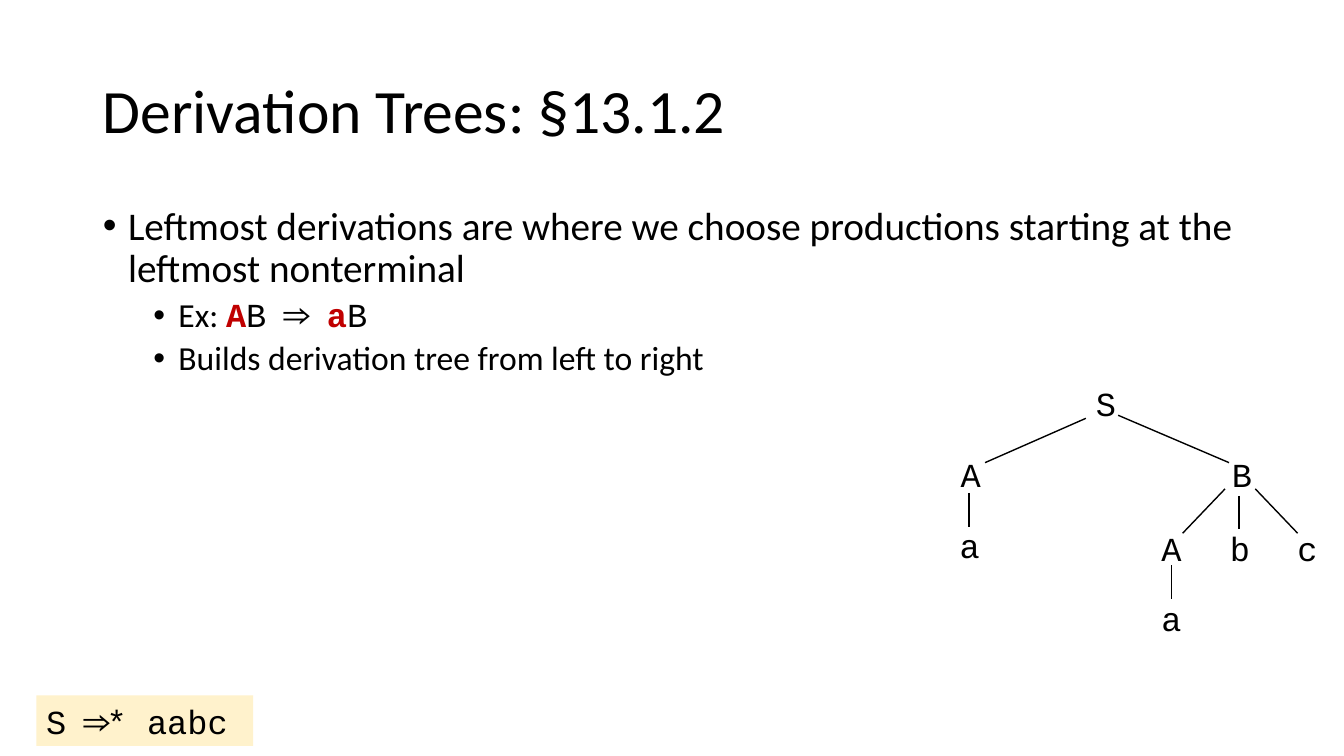
"""Build a slide on leftmost derivations with a derivation tree."""
from lxml import etree
from pptx import Presentation
from pptx.dml.color import RGBColor
from pptx.enum.shapes import MSO_CONNECTOR, MSO_SHAPE
from pptx.enum.text import MSO_ANCHOR, MSO_AUTO_SIZE, PP_ALIGN
from pptx.oxml.ns import qn
from pptx.util import Inches, Pt

LEFT = PP_ALIGN.LEFT
MIDDLE, TOP = MSO_ANCHOR.MIDDLE, MSO_ANCHOR.TOP
FIT_SHAPE, NO_FIT = MSO_AUTO_SIZE.SHAPE_TO_FIT_TEXT, MSO_AUTO_SIZE.NONE
STRAIGHT = MSO_CONNECTOR.STRAIGHT
RECTANGLE = MSO_SHAPE.RECTANGLE
SANS, MONO = "Calibri", "Courier New"
BLACK, RED, CREAM = "000000", "C00000", "FFF2CC"


def rgb(color):
    return RGBColor.from_string(color)


def write(paragraph, text, size=24, font=MONO, color=BLACK, bold=False):
    run = paragraph.add_run()
    run.text = text
    run.font.size = Pt(size)
    run.font.name = font
    run.font.color.rgb = rgb(color)
    run.font.bold = bold
    paragraph.alignment = LEFT


prs = Presentation()
prs.slide_width, prs.slide_height = Inches(13.33), Inches(7.5)
slide = prs.slides.add_slide(prs.slide_layouts[1])
title, body = slide.placeholders

for holder, top, height, anchor in ((title, 0.4, 1.45, MIDDLE), (body, 2, 4.76, TOP)):
    holder.left, holder.top = Inches(0.92), Inches(top)
    holder.width, holder.height = Inches(11.5), Inches(height)
    holder.text_frame.vertical_anchor = anchor
    holder.text_frame.auto_size = NO_FIT

heading = title.text_frame.paragraphs[0]
heading.line_spacing = 0.9
write(heading, "Derivation Trees: §13.1.2", size=44, font=SANS)

points = [
    (0, 0, [("Leftmost derivations are where we choose productions starting at the "
             "leftmost nonterminal", {"size": 28, "font": SANS})]),
    (1, 5, [("Ex: ", {"font": SANS}), ("A", {"color": RED, "bold": True}), ("B ⇒ ", {}),
            ("a", {"color": RED, "bold": True}), ("B", {})]),
    (1, 5, [("Builds derivation tree from left to right", {"font": SANS})]),
]
for index, (level, space, runs) in enumerate(points):
    frame = body.text_frame
    point = frame.add_paragraph() if index else frame.paragraphs[0]
    point.level = level
    properties = point._p.get_or_add_pPr()
    properties.set("marL", str(Inches(0.25 + 0.5 * level)))
    properties.set("indent", str(Inches(-0.25)))
    etree.SubElement(properties, qn("a:buFont")).set("typeface", "Arial")
    etree.SubElement(properties, qn("a:buChar")).set("char", "•")
    point.line_spacing = 0.9
    point.space_before = Pt(space)
    for text, style in runs:
        write(point, text, **style)

symbols = [
    ("S", 10.77, 3.75),
    ("A", 9.43, 4.45), ("B", 12.12, 4.45),
    ("a", 9.42, 5.16), ("A", 11.42, 5.19), ("b", 12.1, 5.19), ("c", 12.77, 5.19),
    ("a", 11.42, 5.88),
]
for symbol, left, top in symbols:
    node = slide.shapes.add_textbox(Inches(left), Inches(top), Inches(0.4), Inches(0.5))
    node.text_frame.word_wrap = False
    node.text_frame.auto_size = FIT_SHAPE
    write(node.text_frame.paragraphs[0], symbol)

branches = [
    (10.77, 4.15, 9.77, 4.59), (11.09, 4.12, 12.19, 4.59),
    (9.61, 4.89, 9.61, 5.23),
    (12.15, 4.85, 11.73, 5.29), (12.29, 4.92, 12.29, 5.25), (12.45, 4.85, 12.87, 5.29),
    (11.62, 5.61, 11.62, 5.94),
]
for ends in branches:
    branch = slide.shapes.add_connector(STRAIGHT, *map(Inches, ends))
    branch.line.color.rgb = rgb(BLACK)
    branch.line.width = Pt(1)
    etree.SubElement(branch._element.spPr, qn("a:effectLst"))

result = slide.shapes.add_shape(RECTANGLE, Inches(0.36), Inches(6.9), Inches(2.15), Inches(0.5))
result.shadow.inherit = False
result.fill.solid()
result.fill.fore_color.rgb = rgb(CREAM)
result.line.fill.background()
result.text_frame.word_wrap = False
result.text_frame.auto_size = FIT_SHAPE
result.text_frame.vertical_anchor = TOP
write(result.text_frame.paragraphs[0], "S ⇒* aabc")

prs.save("out.pptx")
